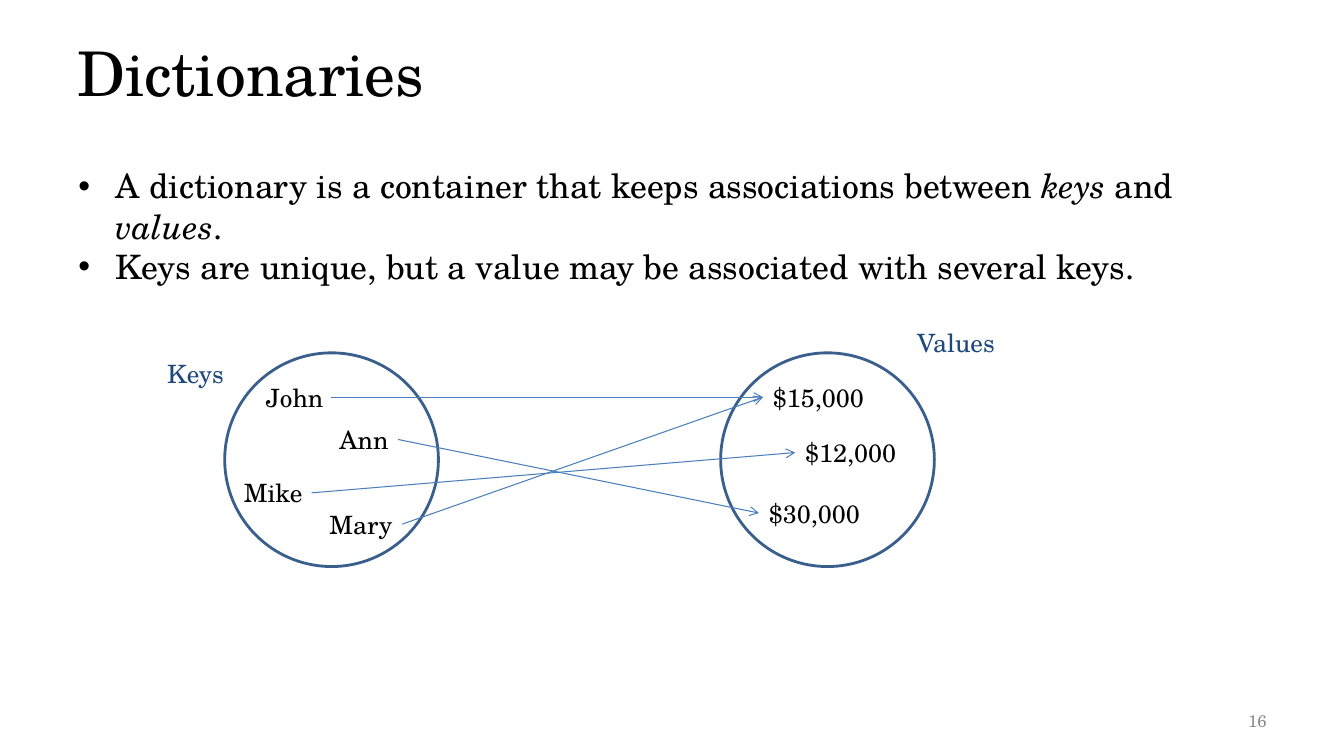
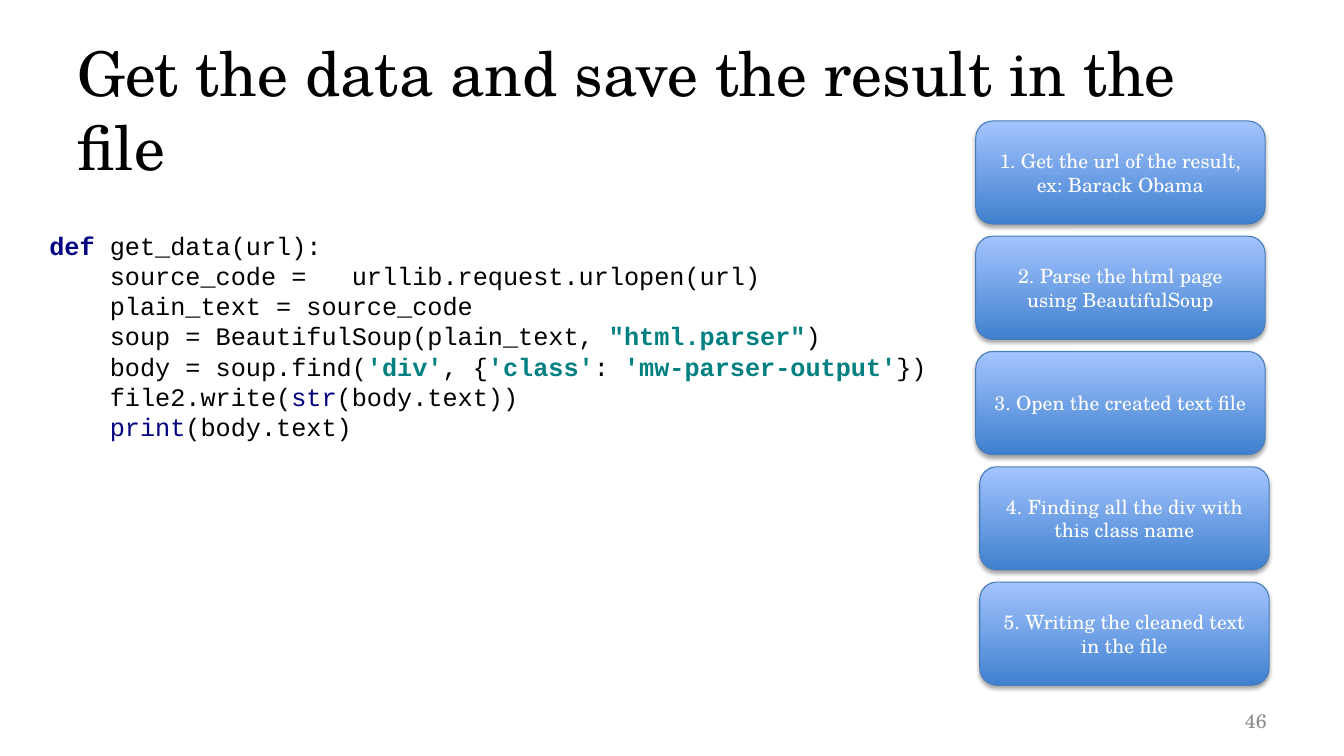
from lxml import etree
from pptx import Presentation
from pptx.dml.color import RGBColor
from pptx.enum.shapes import MSO_CONNECTOR, MSO_SHAPE
from pptx.enum.text import MSO_ANCHOR, MSO_AUTO_SIZE, PP_ALIGN
from pptx.oxml.ns import qn
from pptx.util import Inches, Pt

ELLIPSE, ROUNDED = MSO_SHAPE.OVAL, MSO_SHAPE.ROUNDED_RECTANGLE
STRAIGHT = MSO_CONNECTOR.STRAIGHT
TOP, MIDDLE = MSO_ANCHOR.TOP, MSO_ANCHOR.MIDDLE
LEFT, CENTER, RIGHT = PP_ALIGN.LEFT, PP_ALIGN.CENTER, PP_ALIGN.RIGHT
NO_AUTOFIT = MSO_AUTO_SIZE.NONE

SERIF, MONO = "TeX Gyre Schola", "Courier New"
BLACK, WHITE, GRAY = "000000", "FFFFFF", "8B8B8B"
HEADING_BLUE, CIRCLE_BLUE, ARROW_BLUE = "1F497D", "3A5F8C", "4A7EBB"
STEP_DARK, STEP_LIGHT = "3F80CE", "A4C4FF"
KEYWORD, STRING = "000080", "008080"

rgb = RGBColor.from_string

prs = Presentation()
prs.slide_width, prs.slide_height = Inches(13.33), Inches(7.5)


def area(left, top, width, height):
    w, h = prs.slide_width / 100, prs.slide_height / 100
    return int(left * w), int(top * h), int(width * w), int(height * h)


def write(frame, lines, size, font=SERIF, align=LEFT, anchor=TOP, wrap=True):
    frame.auto_size = NO_AUTOFIT
    frame.word_wrap = wrap
    frame.vertical_anchor = anchor
    for number, line in enumerate(lines):
        paragraph = frame.add_paragraph() if number else frame.paragraphs[0]
        paragraph.alignment = align
        paragraph.space_before = Pt(0)
        for text, color, style in line:
            run = paragraph.add_run()
            run.text = text
            run.font.name, run.font.size = font, Pt(size)
            run.font.color.rgb = rgb(color)
            run.font.bold = style == "bold"
            run.font.italic = style == "italic"


dictionary_slide = prs.slides.add_slide(prs.slide_layouts[1])
code_slide = prs.slides.add_slide(prs.slide_layouts[5])

for slide, heading, page, page_size in [
    (dictionary_slide, "Dictionaries", "16", 12),
    (code_slide, "Get the data and save the result in the file", "46", 14),
]:
    title = slide.shapes.title
    title.left, title.top, title.width, title.height = area(5, 4, 90, 16.67)
    write(title.text_frame, [[(heading, BLACK, "")]], 44)
    page_number = slide.shapes.add_textbox(*area(71.67, 92.67, 23.33, 5.33))
    write(page_number.text_frame, [[(page, GRAY, "")]], page_size, align=RIGHT, anchor=MIDDLE)

definition = dictionary_slide.placeholders[1]
definition.left, definition.top, definition.width, definition.height = area(5, 21.2, 87.8, 25.47)
write(definition.text_frame, [
    [("A dictionary is a container that keeps associations between ", BLACK, ""),
     ("keys ", BLACK, "italic"), ("and ", BLACK, ""),
     ("values", BLACK, "italic"), (".", BLACK, "")],
    [("Keys are unique, but a value may be associated with several keys.", BLACK, "")],
], 24)
for paragraph in definition.text_frame.paragraphs:
    bullet = paragraph._p.get_or_add_pPr()
    bullet.set("marL", str(Inches(0.38)))
    bullet.set("indent", str(-Inches(0.37)))
    etree.SubElement(bullet, qn("a:buFont")).set("typeface", "Arial")
    etree.SubElement(bullet, qn("a:buChar")).set("char", "•")

for left in (16.72, 53.62):
    circle = dictionary_slide.shapes.add_shape(ELLIPSE, *area(left, 46.67, 15.9, 28.27))
    circle.shadow.inherit = False
    circle.fill.background()
    circle.line.color.rgb = rgb(CIRCLE_BLUE)
    circle.line.width = Pt(2)

labels = {}
for text, left, top, width, color in [
    ("John", 19.05, 49.87, 5.55, BLACK),
    ("Mike", 17.4, 62.53, 5.78, BLACK),
    ("Ann", 24.52, 55.47, 5.1, BLACK),
    ("Mary", 23.78, 66.67, 6.15, BLACK),
    ("$15,000", 56.77, 49.87, 9.22, BLACK),
    ("$12,000", 59.17, 57.2, 9.22, BLACK),
    ("$30,000", 56.47, 65.2, 9.22, BLACK),
    ("Keys", 11.7, 46.67, 5.85, HEADING_BLUE),
    ("Values", 67.5, 42.67, 7.58, HEADING_BLUE),
]:
    labels[text] = dictionary_slide.shapes.add_textbox(*area(left, top, width, 5.33))
    write(labels[text].text_frame, [[(text, color, "")]], 18, wrap=False)

for key, value in [("John", "$15,000"), ("Ann", "$30,000"),
                   ("Mike", "$12,000"), ("Mary", "$15,000")]:
    arrow = dictionary_slide.shapes.add_connector(STRAIGHT, 0, 0, 0, 0)
    arrow.begin_connect(labels[key], 3)
    arrow.end_connect(labels[value], 1)
    arrow.line.color.rgb = rgb(ARROW_BLUE)
    arrow.line.width = Pt(0.75)
    properties = arrow._element.spPr
    etree.SubElement(properties.find(qn("a:ln")), qn("a:tailEnd")).set("type", "arrow")
    etree.SubElement(properties, qn("a:effectLst"))

steps = [
    "1. Get the url of the result, ex: Barack Obama",
    "2. Parse the html page using BeautifulSoup",
    "3. Open the created text file",
    "4. Finding all the div with this class name",
    "5. Writing the cleaned text in the file",
]
for number, text in enumerate(steps):
    left = 72.6 if number < 3 else 72.9
    step = code_slide.shapes.add_shape(ROUNDED, *area(left, 16 + 15.25 * number, 21.53, 13.65))
    step.fill.gradient()
    step.fill.gradient_angle = 90
    for stop, color in zip(step.fill.gradient_stops, (STEP_DARK, STEP_LIGHT)):
        stop.color.rgb = rgb(color)
    step.line.color.rgb = rgb(ARROW_BLUE)
    step.line.width = Pt(0.75)
    step.shadow.inherit = False
    effects = step._element.spPr.find(qn("a:effectLst"))
    shadow = etree.SubElement(effects, qn("a:outerShdw"), blurRad=str(Pt(3.1)),
                              dist=str(Pt(1.8)), dir="5400000", rotWithShape="0")
    shade = etree.SubElement(shadow, qn("a:srgbClr"), val=BLACK)
    etree.SubElement(shade, qn("a:alpha"), val="35000")
    write(step.text_frame, [[(text, WHITE, "")]], 14, align=CENTER, anchor=MIDDLE)

code = code_slide.shapes.add_textbox(*area(2.93, 29.6, 67.2, 29.6))
code.fill.solid()
code.fill.fore_color.rgb = rgb(WHITE)
write(code.text_frame, [
    [("def ", KEYWORD, "bold"), ("get_data(url):", BLACK, "")],
    [("source_code =\turllib.request.urlopen(url)", BLACK, "")],
    [("plain_text = source_code", BLACK, "")],
    [("soup = BeautifulSoup(plain_text, ", BLACK, ""),
     ('"html.parser"', STRING, "bold"), (")", BLACK, "")],
    [("body = soup.find(", BLACK, ""), ("'div'", STRING, "bold"), (", {", BLACK, ""),
     ("'class'", STRING, "bold"), (": ", BLACK, ""),
     ("'mw-parser-output'", STRING, "bold"), ("})", BLACK, "")],
    [("file2.write(", BLACK, ""), ("str", KEYWORD, ""), ("(body.text))", BLACK, "")],
    [("print", KEYWORD, ""), ("(body.text)", BLACK, "")],
], 18, font=MONO, anchor=MIDDLE)
for number, paragraph in enumerate(code.text_frame.paragraphs):
    paragraph.line_spacing = Pt(21.6)
    if number:
        indent = paragraph._p.get_or_add_pPr()
        indent.set("marL", "0")
        indent.set("indent", str(Inches(0.6)))
        tabs = etree.SubElement(indent, qn("a:tabLst"))
        etree.SubElement(tabs, qn("a:tab"), pos=str(Inches(4)), algn="l")

prs.save("out.pptx")
